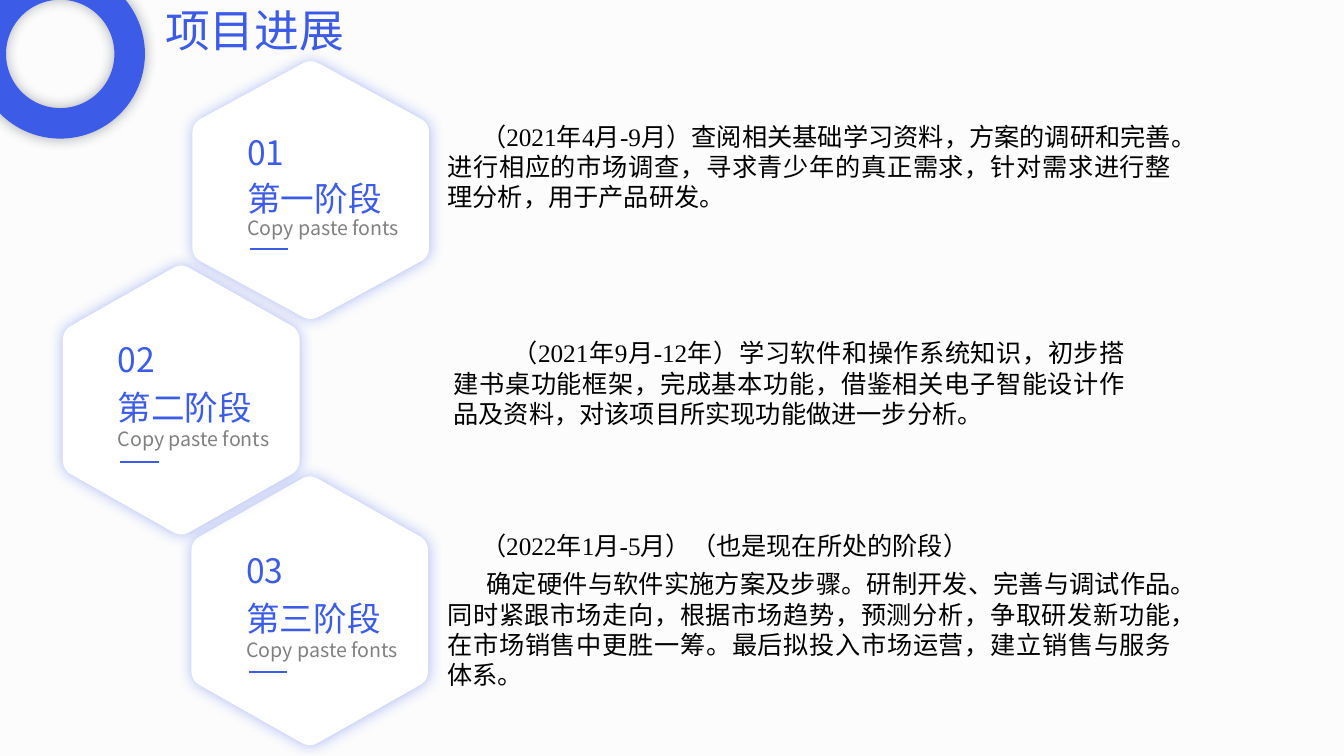
import pptx
import pptx.dml.color
import pptx.enum.shapes
import pptx.enum.text
import pptx.oxml
import pptx.oxml.ns
import pptx.util
from lxml import etree

Pt = pptx.util.Pt
ALIGN = pptx.enum.text.PP_ALIGN
BLUE, GREY, NAVY = "3C5CE8", "808080", "222A35"
SANS, SERIF = "Noto Sans CJK SC", "Times New Roman"


def color(hex_string):
    return pptx.dml.color.RGBColor.from_string(hex_string)


def add_glow(shape, hex_string):
    """Soft, centred 10 pt shadow at 40 % opacity."""
    shape.shadow.inherit = False
    effects = shape._element.spPr.find(pptx.oxml.ns.qn("a:effectLst"))
    effects.append(pptx.oxml.parse_xml(
        f'<a:outerShdw {pptx.oxml.ns.nsdecls("a")} blurRad="{Pt(10)}" dist="0" dir="0" '
        f'algn="ctr" rotWithShape="0"><a:srgbClr val="{hex_string}">'
        '<a:alpha val="40000"/></a:srgbClr></a:outerShdw>'))


def paint(shape, fill, glow):
    shape.fill.solid()
    shape.fill.fore_color.rgb = color(fill)
    shape.line.fill.background()
    add_glow(shape, glow)


def add_text(shapes, box, *texts, size=18, font=SANS, ink="000000",
             align=ALIGN.LEFT, indents=(0,), after=0):
    """One paragraph per text, with one first-line indent for each."""
    textbox = shapes.add_textbox(*(Pt(length) for length in box))
    frame = textbox.text_frame
    frame.word_wrap = True
    frame.auto_size = pptx.enum.text.MSO_AUTO_SIZE.SHAPE_TO_FIT_TEXT
    for index, (text, indent) in enumerate(zip(texts, indents)):
        paragraph = frame.add_paragraph() if index else frame.paragraphs[0]
        paragraph.alignment = align
        paragraph.space_after = Pt(after)
        paragraph._p.get_or_add_pPr().set("indent", str(Pt(indent)))
        run = paragraph.add_run()
        run.text = text
        run.font.size = Pt(size)
        run.font.color.rgb = color(ink)
        run.font.name = font
        run.font.language_id = pptx.enum.lang.MSO_LANGUAGE_ID.SIMPLIFIED_CHINESE
        east_asian = etree.SubElement(run._r.get_or_add_rPr(), pptx.oxml.ns.qn("a:ea"))
        east_asian.set("typeface", SANS)


def rounded_hexagon(left, top, width, height, trim=0.07, steps=6):
    """Points of a hexagon whose corners are rounded by quadratic curves."""
    corners = [(0.5, -0.01), (1, 0.24), (1, 0.76), (0.5, 1.01), (0, 0.76), (0, 0.24)]
    points = []
    for index, corner in enumerate(corners):
        before, following = corners[index - 1], corners[(index + 1) % 6]
        start = [c + (b - c) * trim for c, b in zip(corner, before)]
        end = [c + (f - c) * trim for c, f in zip(corner, following)]
        for step in range(steps + 1):
            t = step / steps
            x, y = ((1 - t) ** 2 * s + 2 * t * (1 - t) * c + t ** 2 * e
                    for s, c, e in zip(start, corner, end))
            points.append((Pt(left + x * width), Pt(top + y * height)))
    return points


def add_header(slide, left, top):
    # Ring running off the corner
    ring = slide.shapes.add_shape(pptx.enum.shapes.MSO_SHAPE.DONUT,
                                  Pt(left), Pt(top), Pt(121), Pt(121))
    ring.adjustments[0] = 0.18
    paint(ring, BLUE, NAVY)
    # Slide title
    add_text(slide.shapes, (left + 128.3, top + 20.2, 332.6, 46), "项目进展",
             size=32, ink=BLUE)


def add_stage(slide, box, number, stage):
    left, top, width, height = box
    parts = slide.shapes.add_group_shape().shapes
    # Hexagon
    first, *rest = rounded_hexagon(*box)
    builder = parts.build_freeform(*first)
    builder.add_line_segments(rest, close=True)
    paint(builder.convert_to_shape(), "FFFFFF", BLUE)
    # Number, stage and caption
    labels = [(0.255, number, 24, BLUE), (0.432, stage, 24, BLUE),
              (0.582, "Copy paste fonts", 14, GREY)]
    for share, text, size, ink in labels:
        add_text(parts, (left + 32, top + share * height, 140, size * 1.5), text,
                 size=size, ink=ink)
    # Short rule
    rule_left, rule_top = left + 41, top + 0.73 * height
    rule = parts.add_connector(pptx.enum.shapes.MSO_CONNECTOR.STRAIGHT, Pt(rule_left),
                               Pt(rule_top), Pt(rule_left + 27.4), Pt(rule_top))
    rule.line.color.rgb = color(BLUE)
    rule.line.width = Pt(1.5)
    etree.SubElement(rule._element.spPr, pptx.oxml.ns.qn("a:effectLst"))


def add_description(slide, box, *texts, indents):
    add_text(slide.shapes, box, *texts, font=SERIF, align=ALIGN.JUSTIFY,
             indents=indents, after=6)


def main():
    presentation = pptx.Presentation()
    presentation.slide_width, presentation.slide_height = Pt(960), Pt(540)
    slide = presentation.slides.add_slide(presentation.slide_layouts[6])
    slide.background.fill.solid()
    slide.background.fill.fore_color.rgb = color("FCFCFC")

    add_header(slide, -17.5, -22)

    # Stages, from back to front
    add_stage(slide, (136.8, 340.5, 169, 191.5), "03", "第三阶段")
    add_stage(slide, (137.5, 44, 169, 183.6), "01", "第一阶段")
    add_stage(slide, (45, 190, 169, 191.5), "02", "第二阶段")

    # Descriptions
    add_description(
        slide, (312.5, 82.8, 531.4, 73),
        "（2021年4月-9月）查阅相关基础学习资料，方案的调研和完善。进行相应的市场调查，"
        "寻求青少年的真正需求，针对需求进行整理分析，用于产品研发。", indents=[24])
    add_description(
        slide, (316.8, 237.6, 494, 73),
        "（2021年9月-12年）学习软件和操作系统知识，初步搭建书桌功能框架，完成基本功能，"
        "借鉴相关电子智能设计作品及资料，对该项目所实现功能做进一步分析。", indents=[42])
    add_description(
        slide, (312.5, 375, 531.4, 124),
        "（2022年1月-5月）（也是现在所处的阶段）",
        "确定硬件与软件实施方案及步骤。研制开发、完善与调试作品。同时紧跟市场走向，"
        "根据市场趋势，预测分析，争取研发新功能，在市场销售中更胜一筹。"
        "最后拟投入市场运营，建立销售与服务体系。", indents=[24, 28])

    presentation.save("out.pptx")


if __name__ == "__main__":
    import pptx.enum.lang
    main()
